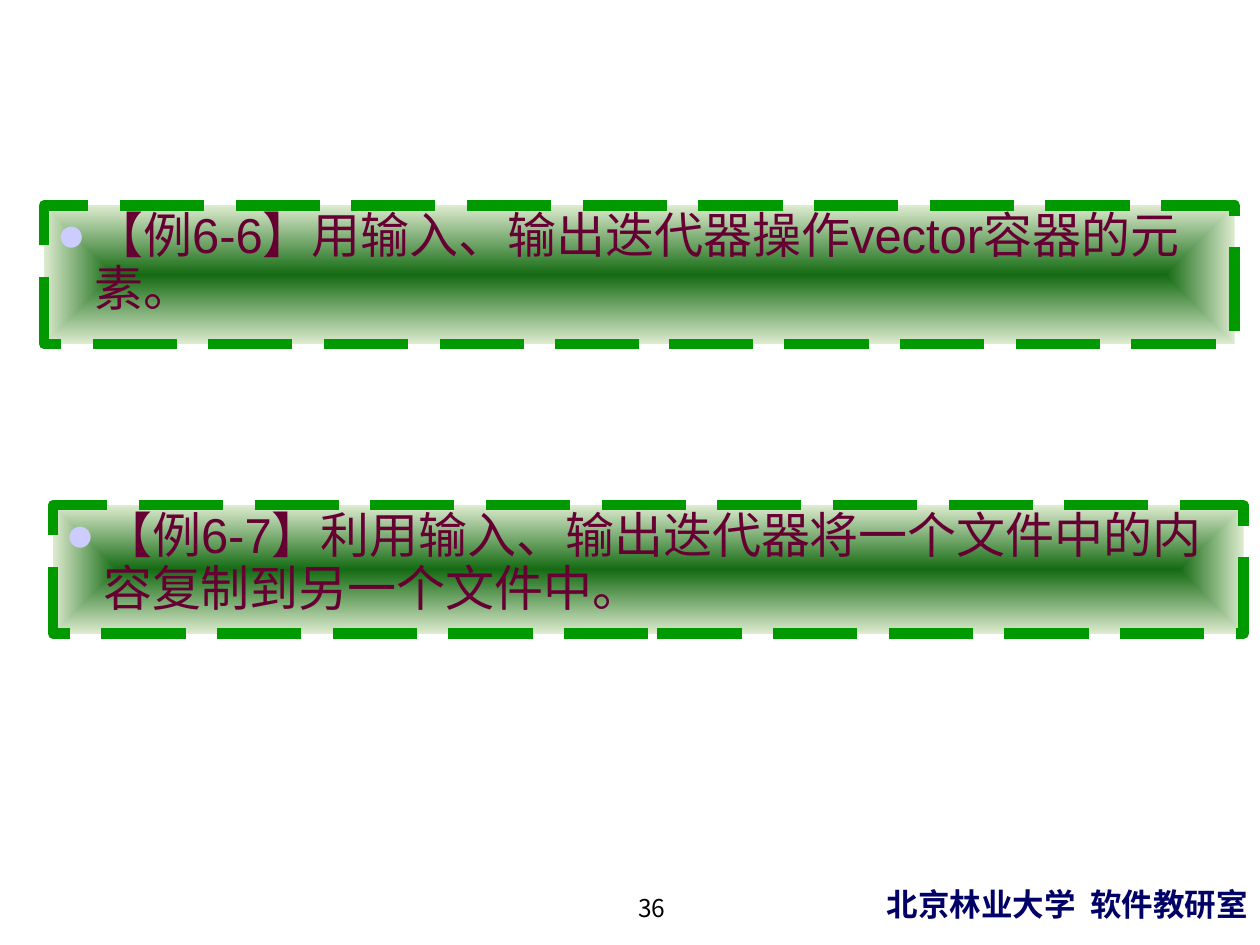
from dataclasses import dataclass

from lxml import etree
from pptx import Presentation
from pptx.dml.color import RGBColor
from pptx.enum.dml import MSO_LINE
from pptx.enum.shapes import MSO_SHAPE
from pptx.enum.text import MSO_ANCHOR, PP_ALIGN
from pptx.oxml import parse_xml
from pptx.oxml.ns import nsdecls, qn
from pptx.util import Inches, Pt

RECTANGLE = MSO_SHAPE.RECTANGLE
LONG_DASH = MSO_LINE.LONG_DASH
TOP, BOTTOM = MSO_ANCHOR.TOP, MSO_ANCHOR.BOTTOM
LEFT, CENTER, RIGHT = PP_ALIGN.LEFT, PP_ALIGN.CENTER, PP_ALIGN.RIGHT
CHINESE_FONT = "Noto Sans CJK SC"


@dataclass
class Footer:
    text: str
    left: float
    width: float
    alignment: PP_ALIGN
    size: int
    font: str
    color: str
    bold: bool = False


@dataclass
class ExampleBox:
    text: str
    left: float
    top: float
    height: float


FOOTERS = [
    Footer("北京林业大学  软件教研室", 6.34, 3.66, RIGHT, 18, "Arial", "000066", True),
    Footer("36", 4.01, 2.33, CENTER, 14, CHINESE_FONT, "000000"),
]
EXAMPLES = [
    ExampleBox("【例6-7】利用输入、输出迭代器将一个文件中的内容复制到另一个文件中。",
               0.42, 4.01, 1.02),
    ExampleBox("【例6-6】用输入、输出迭代器操作vector容器的元素。", 0.35, 1.63, 1.1),
]


def rgb(color: str) -> RGBColor:
    return RGBColor.from_string(color)


def add_run(paragraph, text: str, size: int, font: str, color: str,
            bold: bool = False) -> None:
    run = paragraph.add_run()
    run.text = text
    run.font.size = Pt(size)
    run.font.name = font
    run.font.bold = bold
    run.font.color.rgb = rgb(color)
    latin = run.font._element.find(qn("a:latin"))
    east_asian = etree.Element(qn("a:ea"), typeface=CHINESE_FONT)
    latin.addnext(east_asian)


def add_bullet(paragraph, color: str, indent: float) -> None:
    properties = paragraph._p.get_or_add_pPr()
    properties.set("marL", str(Inches(indent)))
    properties.set("indent", str(-Inches(indent)))
    bullet_color = etree.SubElement(properties, qn("a:buClr"))
    etree.SubElement(bullet_color, qn("a:srgbClr"), val=color)
    etree.SubElement(properties, qn("a:buFont"), typeface="Arial")
    etree.SubElement(properties, qn("a:buChar"), char="●")


def fill_from_center(shape, inner: str, outer: str) -> None:
    gradient = parse_xml(
        f'<a:gradFill {nsdecls("a")} rotWithShape="1"><a:gsLst>'
        f'<a:gs pos="0"><a:srgbClr val="{inner}"/></a:gs>'
        f'<a:gs pos="100000"><a:srgbClr val="{outer}"/></a:gs></a:gsLst>'
        '<a:path path="rect"><a:fillToRect l="50000" t="50000" r="50000" b="50000"/>'
        '</a:path></a:gradFill>')
    shape._element.spPr.find(qn("a:prstGeom")).addnext(gradient)


def add_footer(slide, footer: Footer) -> None:
    box = slide.shapes.add_textbox(Inches(footer.left), Inches(6.87),
                                   Inches(footer.width), Inches(0.5))
    frame = box.text_frame
    frame.word_wrap = True
    frame.vertical_anchor = BOTTOM
    paragraph = frame.paragraphs[0]
    paragraph.alignment = footer.alignment
    add_run(paragraph, footer.text, footer.size, footer.font, footer.color, footer.bold)


def add_example(slide, example: ExampleBox) -> None:
    shape = slide.shapes.add_shape(RECTANGLE, Inches(example.left), Inches(example.top),
                                   Inches(9.45), Inches(example.height))
    shape.shadow.inherit = False
    fill_from_center(shape, "156B13", "DDEBCF")
    shape.line.color.rgb = rgb("009900")
    shape.line.width = Pt(6)
    shape.line.dash_style = LONG_DASH

    frame = shape.text_frame
    frame.word_wrap = True
    frame.vertical_anchor = TOP
    paragraph = frame.paragraphs[0]
    add_bullet(paragraph, "CCCCFF", 0.3)
    paragraph.alignment = LEFT
    paragraph.line_spacing = 0.9
    add_run(paragraph, example.text, 28, "Arial", "660033")


def main() -> None:
    presentation = Presentation()
    presentation.slide_width = Inches(10)
    presentation.slide_height = Inches(7.5)
    slide = presentation.slides.add_slide(presentation.slide_layouts[6])

    # Department name and page number
    for footer in FOOTERS:
        add_footer(slide, footer)

    # Framed example titles
    for example in EXAMPLES:
        add_example(slide, example)

    presentation.save("out.pptx")


if __name__ == "__main__":
    main()
